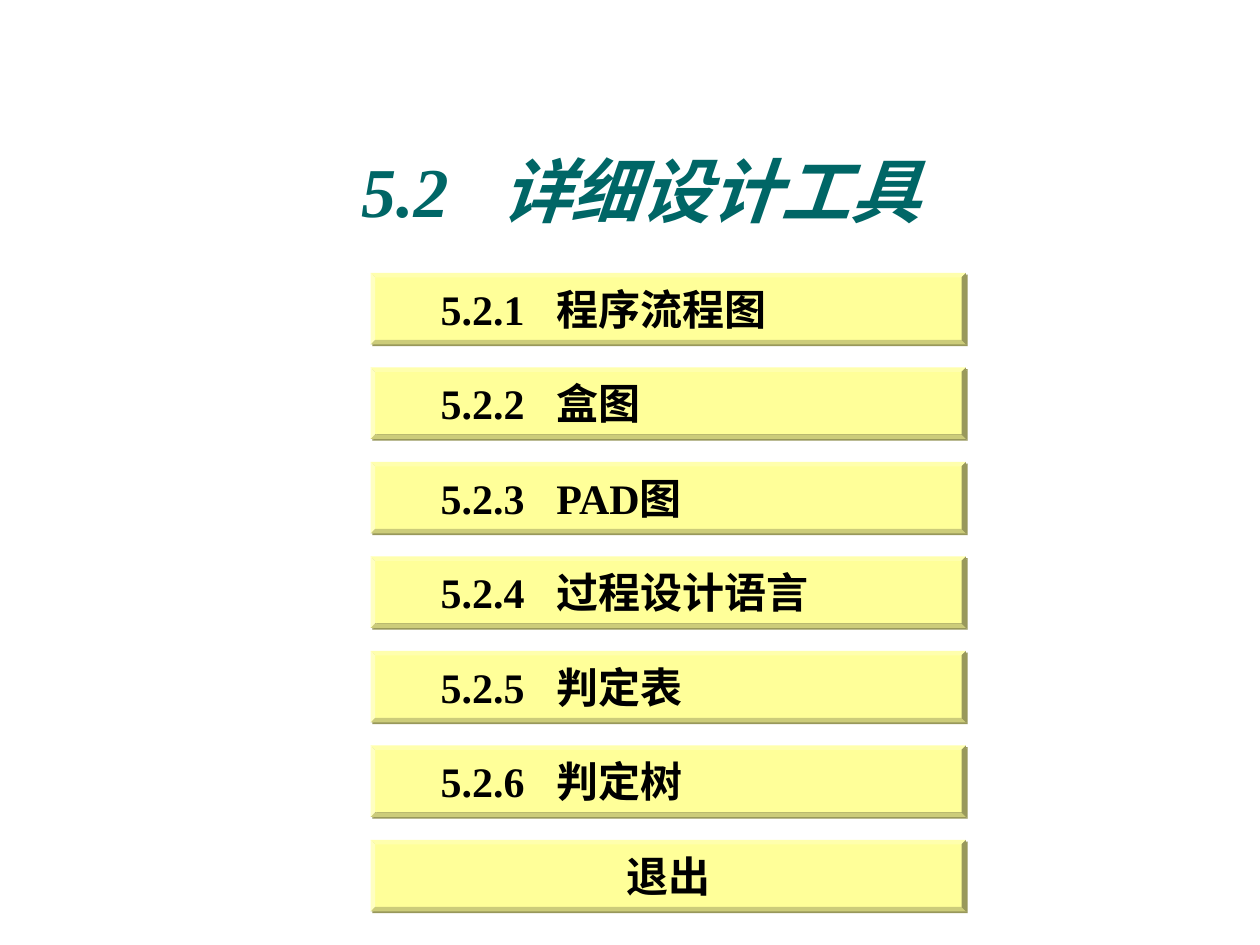
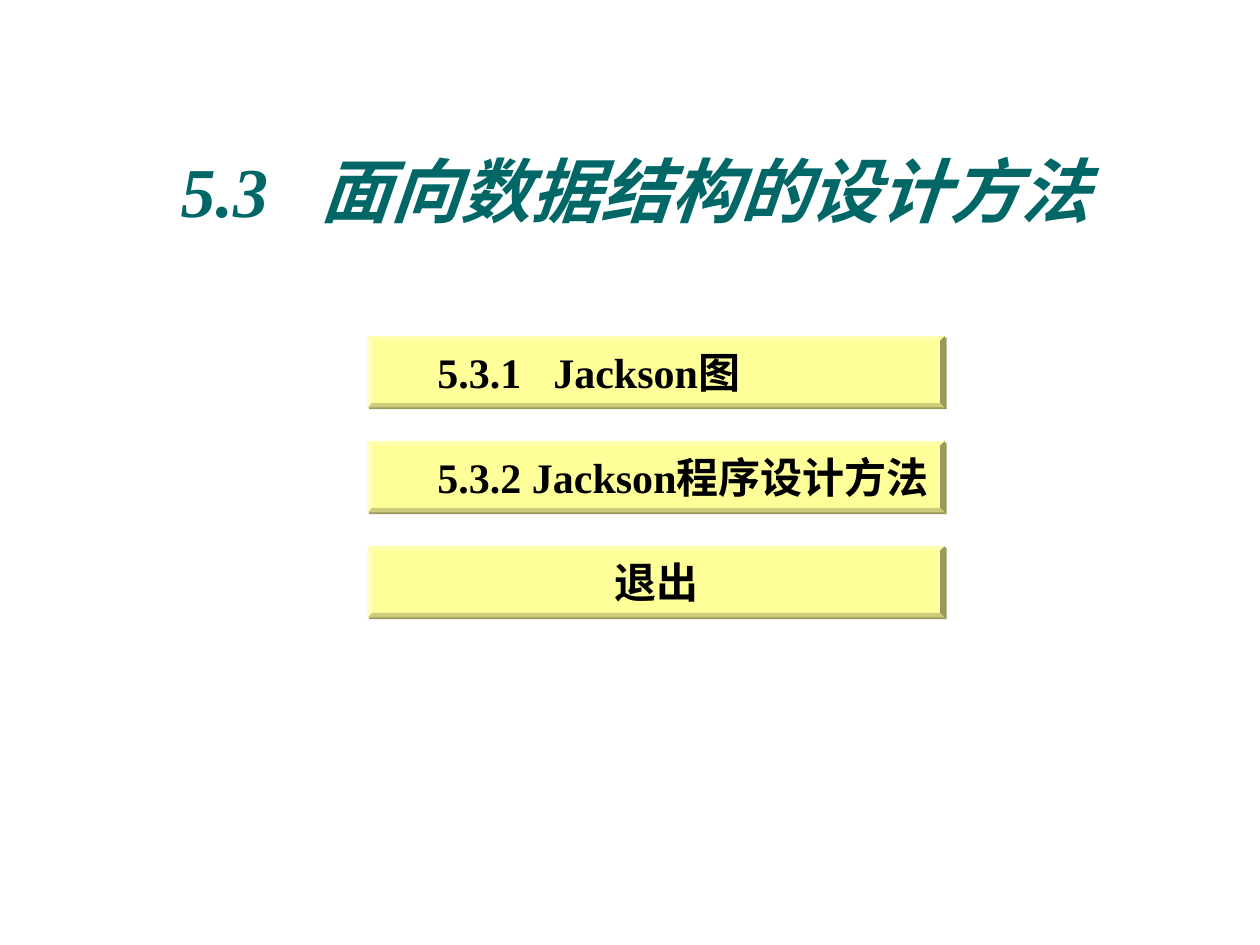
from dataclasses import dataclass

from lxml import etree
from pptx import Presentation
from pptx import util as u
from pptx.dml import color
from pptx.enum import shapes, text
from pptx.oxml import ns

COLUMNS, ROWS = 120, 90
SLIDE_WIDTH, SLIDE_HEIGHT = u.Inches(10), u.Inches(7.5)
FONT = "Times New Roman"
TEAL, BLACK, YELLOW, OLIVE = "006666", "000000", "FFFF99", "98985B"
TITLE_ROW, TITLE_ROWS, BUTTON_ROWS = 15, 7.7, 6.8
BEVEL_SHARE = 0.0625
TITLE_TABS = (1.11,)
BUTTON_TABS = (0.52, 1.44)
EXIT_LABEL = "退出"


@dataclass(frozen=True)
class Menu:
    title: str
    title_column: float
    title_columns: float
    column: float
    columns: float
    row: float
    pitch: float
    entries: tuple[str, ...]


MENUS = (
    Menu("5.2\t详细设计工具", 33.2, 57.2, 35.3, 56.7, 26, 9, (
        "5.2.1\t程序流程图",
        "5.2.2\t盒图",
        "5.2.3\tPAD图",
        "5.2.4\t过程设计语言",
        "5.2.5\t判定表",
        "5.2.6\t判定树",
    )),
    Menu("5.3\t面向数据结构的设计方法", 16, 94, 35, 55, 32, 10, (
        "5.3.1\tJackson图",
        "5.3.2 Jackson程序设计方法",
    )),
)


def rgb(value: str) -> color.RGBColor:
    return color.RGBColor.from_string(value)


def grid(column: float, row: float, columns: float, rows: float) -> tuple[int, ...]:
    return (
        round(SLIDE_WIDTH * column / COLUMNS),
        round(SLIDE_HEIGHT * row / ROWS),
        round(SLIDE_WIDTH * columns / COLUMNS),
        round(SLIDE_HEIGHT * rows / ROWS),
    )


def write(box, content: str, *, size: float, ink: str, italic: bool = False,
          align=text.PP_ALIGN.LEFT, anchor=text.MSO_ANCHOR.MIDDLE,
          left_inset: float = 0, spacing: float = 1,
          tabs: tuple[float, ...] = ()) -> None:
    frame = box.text_frame
    frame.word_wrap = True
    frame.vertical_anchor = anchor
    frame.margin_left, frame.margin_right = u.Inches(left_inset), 0
    frame.margin_top = frame.margin_bottom = u.Inches(0.05)
    para = frame.paragraphs[0]
    if tabs:
        stops = etree.SubElement(para._p.get_or_add_pPr(), ns.qn("a:tabLst"))
        for tab in tabs:
            etree.SubElement(stops, ns.qn("a:tab"), pos=str(u.Inches(tab)), algn="l")
    para.alignment = align
    para.line_spacing = spacing
    para.space_before = u.Pt(0)
    span = para.add_run()
    span.text = content
    span.font.name = FONT
    span.font.size = u.Pt(size)
    span.font.bold = True
    span.font.italic = italic
    span.font.color.rgb = rgb(ink)


def add_shadow(box, ink: str) -> None:
    box.shadow.inherit = False
    effects = box._element.spPr.find(ns.qn("a:effectLst"))
    shadow = etree.SubElement(effects, ns.qn("a:outerShdw"), dist=str(u.Pt(1.4)),
                              dir=str(45 * 60000), algn="ctr", rotWithShape="0")
    etree.SubElement(shadow, ns.qn("a:srgbClr"), val=ink)


def add_button(page, menu: Menu, index: int, label: str, **style) -> None:
    place = grid(menu.column, menu.row + index * menu.pitch, menu.columns, BUTTON_ROWS)
    box = page.shapes.add_shape(shapes.MSO_SHAPE.BEVEL, *place)
    box.adjustments[0] = BEVEL_SHARE
    box.fill.solid()
    box.fill.fore_color.rgb = rgb(YELLOW)
    box.line.fill.background()
    add_shadow(box, OLIVE)
    write(box, label, size=24, ink=BLACK, **style)


def add_menu(deck, menu: Menu) -> None:
    page = deck.slides.add_slide(deck.slide_layouts[5])
    title = page.shapes.title
    title.left, title.top, title.width, title.height = grid(
        menu.title_column, TITLE_ROW, menu.title_columns, TITLE_ROWS)
    write(title, menu.title, size=40, ink=TEAL, italic=True, spacing=0.8,
          anchor=text.MSO_ANCHOR.TOP, left_inset=0.1, tabs=TITLE_TABS)
    title.text_frame.auto_size = text.MSO_AUTO_SIZE.SHAPE_TO_FIT_TEXT
    for index, entry in enumerate(menu.entries):
        add_button(page, menu, index, "\t" + entry, tabs=BUTTON_TABS)
    add_button(page, menu, len(menu.entries), EXIT_LABEL, align=text.PP_ALIGN.CENTER)


def main() -> None:
    deck = Presentation()
    deck.slide_width, deck.slide_height = SLIDE_WIDTH, SLIDE_HEIGHT
    for menu in MENUS:
        add_menu(deck, menu)
    deck.save("out.pptx")


if __name__ == "__main__":
    main()
